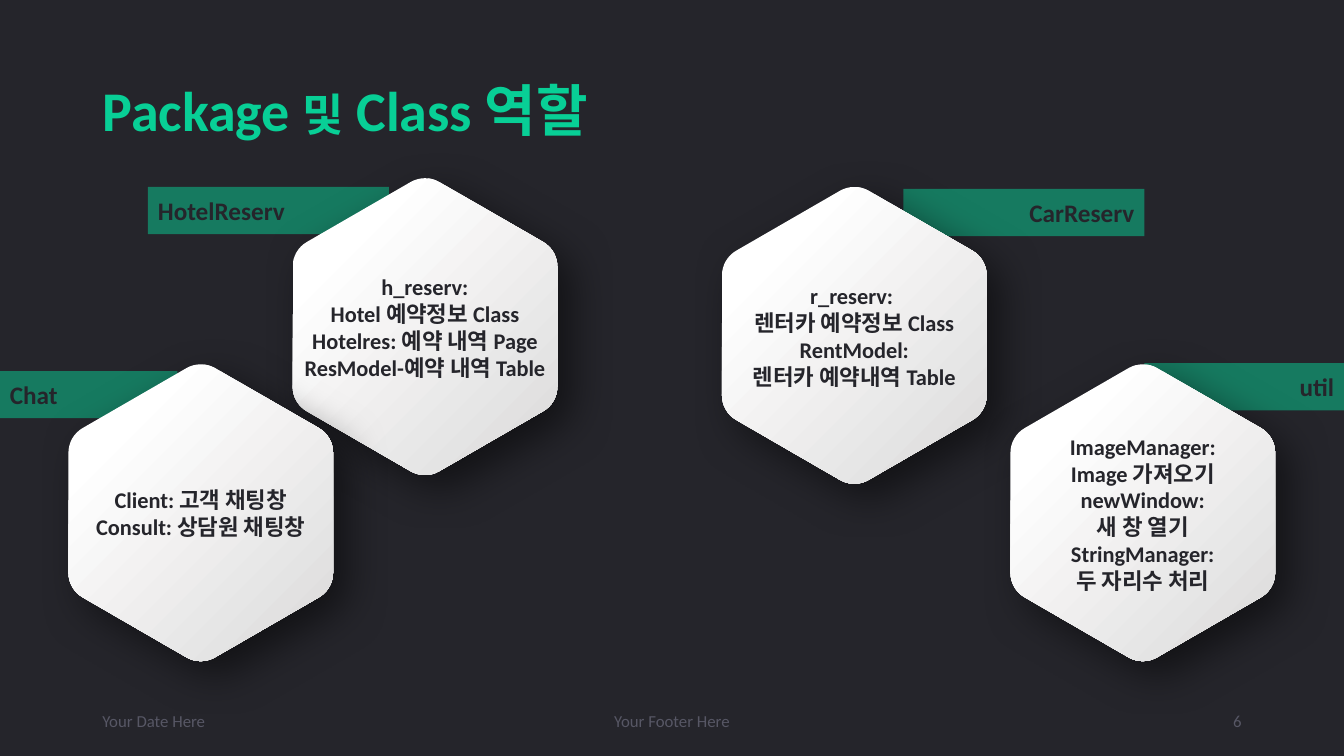
import math
from lxml import etree
from pptx import Presentation
from pptx import util as u
from pptx.dml.color import RGBColor
from pptx.enum import shapes, text
from pptx.oxml import ns

DARK, GREEN, GRAY = "25252B", "08CF96", "575765"
WHITE, SILVER, BLACK = "FFFFFF", "DAD9D9", "000000"
FONT = "Calibri"
LEFT, CENTER, RIGHT = text.PP_ALIGN.LEFT, text.PP_ALIGN.CENTER, text.PP_ALIGN.RIGHT

TITLE = [("Package ", 40), ("및", 32), (" Class 역할", 40)]
TABS = [
    ("HotelReserv", 3.73, 4.71, 6.07, LEFT),
    ("util", 28.84, 9.15, 5.03, RIGHT),
    ("Chat", 0, 9.35, 4.47, LEFT),
    ("CarReserv", 22.77, 4.76, 6.07, RIGHT),
]
FOOTERS = [
    ("Your Date Here", 2.33, 7.62, LEFT),
    ("Your Footer Here", 11.22, 11.43, CENTER),
    ("6", 23.92, 7.62, RIGHT),
]
HEXAGONS = [
    (10.71, 8.23, ["h_reserv:", "Hotel 예약정보 Class", "Hotelres: 예약 내역 Page",
                   "ResModel-예약 내역 Table"]),
    (5.06, 12.92, ["Client: 고객 채팅창", "Consult: 상담원 채팅창"]),
    (21.53, 8.45, ["r_reserv: ", "렌터카 예약정보 Class", "RentModel:",
                   "렌터카 예약내역 Table"]),
    (28.8, 12.92, ["ImageManager:", "Image 가져오기", "newWindow:", "새 창 열기",
                   "StringManager:", "두 자리수 처리"]),
]
HEX_WIDTH, CORNER = 6.67, 0.72
ARCS = [(-90, -90, -60), (-30, -60, 0), (30, 0, 60), (90, 60, 120),
        (150, 120, 180), (210, 180, 240), (270, 240, 270)]


def rgb(color):
    return RGBColor.from_string(color)


def style(p, size, color, bold, align):
    p.alignment = align
    p.font.name = FONT
    p.font.bold = bold
    p.font.color.rgb = rgb(color)
    if size:
        p.font.size = u.Pt(size)
    latin = p._p.find(".//" + ns.qn("a:latin"))
    latin.addnext(etree.Element(ns.qn("a:ea"), typeface=FONT))


def write(sp, lines, size, color, bold, align):
    tf = sp.text_frame
    tf.word_wrap = True
    tf.vertical_anchor = text.MSO_ANCHOR.MIDDLE
    tf.text = "\n".join(lines)
    for p in tf.paragraphs:
        style(p, size, color, bold, align)


def set_alpha(clr, percent):
    etree.SubElement(clr, ns.qn("a:alpha"), val=str(percent * 1000))


def add_tab(s, label, x, y, w, align):
    sp = s.shapes.add_shape(shapes.MSO_SHAPE.RECTANGLE, u.Cm(x), u.Cm(y), u.Cm(w), u.Cm(1.19))
    sp.shadow.inherit = False
    sp.line.fill.background()
    sp.fill.solid()
    sp.fill.fore_color.rgb = rgb(GREEN)
    set_alpha(sp._element.spPr.find(".//" + ns.qn("a:srgbClr")), 50)
    write(sp, [label], 18, DARK, True, align)


def add_title(s):
    sp = s.shapes.add_textbox(u.Cm(2.33), u.Cm(1.01), u.Cm(29.21), u.Cm(3.68))
    write(sp, [""], None, GREEN, True, LEFT)
    p = sp.text_frame.paragraphs[0]
    p.line_spacing = 0.9
    for words, size in TITLE:
        r = p.add_run()
        r.text = words
        r.font.size = u.Pt(size)


def hexagon_points(cx, cy):
    reach = (HEX_WIDTH / 2 - CORNER) / math.cos(math.radians(30))
    points = []
    for corner, first, last in ARCS:
        a, b, c = (math.radians(angle) for angle in (corner, first, last))
        x, y = cx + reach * math.cos(a), cy + reach * math.sin(a)
        pull = 4 / 3 * math.tan((c - b) / 4)
        for angle, k in ((b, 0), (b, pull), (c, -pull), (c, 0)):
            points.append((u.Cm(x + CORNER * (math.cos(angle) - k * math.sin(angle))),
                           u.Cm(y + CORNER * (math.sin(angle) + k * math.cos(angle)))))
    return points


def round_corners(sp):
    lines = sp._element.findall(".//" + ns.qn("a:lnTo"))
    for i in range(0, len(lines), 4):
        curve = etree.Element(ns.qn("a:cubicBezTo"))
        lines[i].addprevious(curve)
        for line in lines[i:i + 3]:
            curve.append(line[0])
            line.getparent().remove(line)


def add_shadow(sp):
    sp.shadow.inherit = False
    effects = sp._element.spPr.find(ns.qn("a:effectLst"))
    shadow = etree.SubElement(effects, ns.qn("a:outerShdw"), blurRad=str(u.Pt(30)),
                              dist=str(u.Pt(14)), dir=str(45 * 60000),
                              algn="tl", rotWithShape="0")
    set_alpha(etree.SubElement(shadow, ns.qn("a:srgbClr"), val=BLACK), 50)


def add_hexagon(s, cx, cy, lines):
    start, *rest = hexagon_points(cx, cy)
    builder = s.shapes.build_freeform(*start)
    builder.add_line_segments(rest, close=True)
    sp = builder.convert_to_shape()
    round_corners(sp)
    sp.line.fill.background()
    sp.fill.gradient()
    sp.fill.gradient_angle = 315
    for stop, position, color in zip(sp.fill.gradient_stops, (0.2, 1), (WHITE, SILVER)):
        stop.position = position
        stop.color.rgb = rgb(color)
    add_shadow(sp)
    tf = sp.text_frame
    tf.margin_left = tf.margin_right = u.Cm(0.22)
    tf.margin_top = tf.margin_bottom = u.Cm(0.08)
    write(sp, lines, 16, DARK, True, CENTER)


def main():
    prs = Presentation()
    prs.slide_width, prs.slide_height = u.Cm(33.87), u.Cm(19.05)
    s = prs.slides.add_slide(prs.slide_layouts[6])
    s.background.fill.solid()
    s.background.fill.fore_color.rgb = rgb(DARK)
    for tab in TABS:
        add_tab(s, *tab)
    add_title(s)
    for label, x, w, align in FOOTERS:
        sp = s.shapes.add_textbox(u.Cm(x), u.Cm(17.66), u.Cm(w), u.Cm(1.01))
        write(sp, [label], 12, GRAY, False, align)
    for hexagon in HEXAGONS:
        add_hexagon(s, *hexagon)
    prs.save("out.pptx")


if __name__ == "__main__":
    main()
